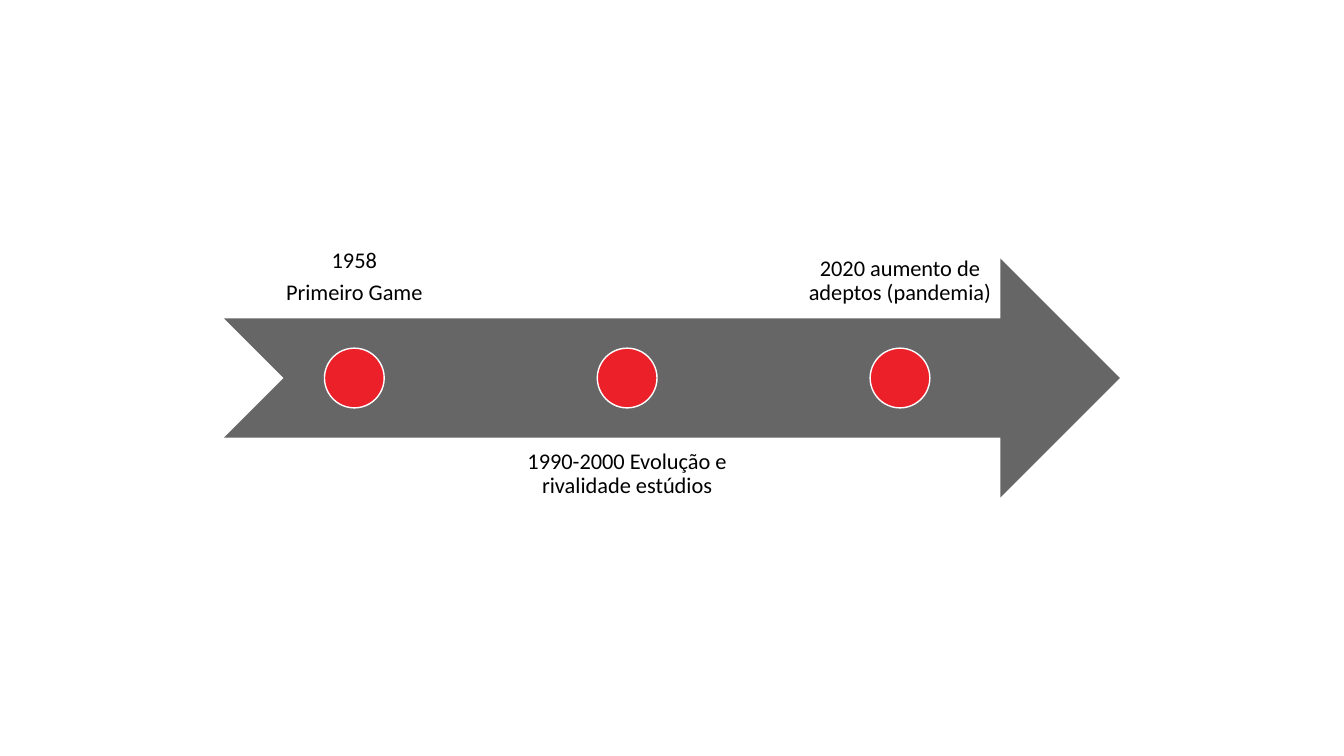
from lxml.etree import SubElement
from pptx import Presentation
from pptx.dml.color import RGBColor
from pptx.enum.shapes import MSO_SHAPE
from pptx.enum.text import MSO_ANCHOR, PP_ALIGN
from pptx.oxml.ns import qn
from pptx.util import Pt

BLACK = RGBColor(0x00, 0x00, 0x00)
WHITE = RGBColor(0xFF, 0xFF, 0xFF)
RED = RGBColor(0xEC, 0x20, 0x29)

EVENTS = [
    ["1958", "Primeiro Game"],
    ["1990-2000 Evolução e rivalidade estúdios"],
    ["2020 aumento de adeptos (pandemia)"],
]


def add_arrow(slide, x, y, w, h):
    """Draw the translucent notched arrow that fills the box."""
    sp = slide.shapes.add_shape(MSO_SHAPE.NOTCHED_RIGHT_ARROW, Pt(x), Pt(y), Pt(w), Pt(h))
    sp.shadow.inherit = False
    sp.fill.solid()
    sp.fill.fore_color.rgb = BLACK
    color = sp.fill._xPr.find(qn("a:solidFill")).find(qn("a:srgbClr"))
    SubElement(color, qn("a:alpha"), val="60000")
    sp.line.fill.background()


def add_label(slide, lines, anchor, x, y, w, h):
    """Write one event's text in the box."""
    tf = slide.shapes.add_textbox(Pt(x), Pt(y), Pt(w), Pt(h)).text_frame
    tf.word_wrap = True
    tf.vertical_anchor = anchor
    tf.margin_left = tf.margin_right = tf.margin_top = tf.margin_bottom = Pt(8.96)
    tf.text = "\n".join(lines)
    for p in tf.paragraphs:
        p.alignment = PP_ALIGN.CENTER
        p.line_spacing = 0.9
        p.space_after = Pt(5.6)
        p.font.size = Pt(16)
        p.font.name = "Calibri"
        p.font.color.rgb = BLACK


def add_dot(slide, x, y, d):
    """Draw a red event marker of diameter d."""
    sp = slide.shapes.add_shape(MSO_SHAPE.OVAL, Pt(x), Pt(y), Pt(d), Pt(d))
    sp.shadow.inherit = False
    sp.fill.solid()
    sp.fill.fore_color.rgb = RED
    sp.line.color.rgb = WHITE
    sp.line.width = Pt(1)


def add_timeline(slide, x, y, w, h):
    """Build the arrow with event labels alternating above and below it."""
    add_arrow(slide, x, y, w, h)
    label_w = 0.29 * w
    pitch = 1.05 * label_w
    dot = h / 4
    for i, lines in enumerate(EVENTS):
        left = x + 0.3 + i * pitch
        above = i % 2 == 0
        anchor = MSO_ANCHOR.BOTTOM if above else MSO_ANCHOR.TOP
        top = y - 0.75 * h if above else y + 0.75 * h
        add_label(slide, lines, anchor, left, top, label_w, h)
        add_dot(slide, left + (label_w - dot) / 2, y + (h - dot) / 2, dot)


def main():
    """Create and save the presentation."""
    prs = Presentation()
    prs.slide_width, prs.slide_height = Pt(960), Pt(540)
    slide = prs.slides.add_slide(prs.slide_layouts[6])
    slide.background.fill.solid()
    slide.background.fill.fore_color.rgb = WHITE
    add_timeline(slide, 160, 184.67, 640, 170.67)
    prs.save("out.pptx")


if __name__ == "__main__":
    main()
